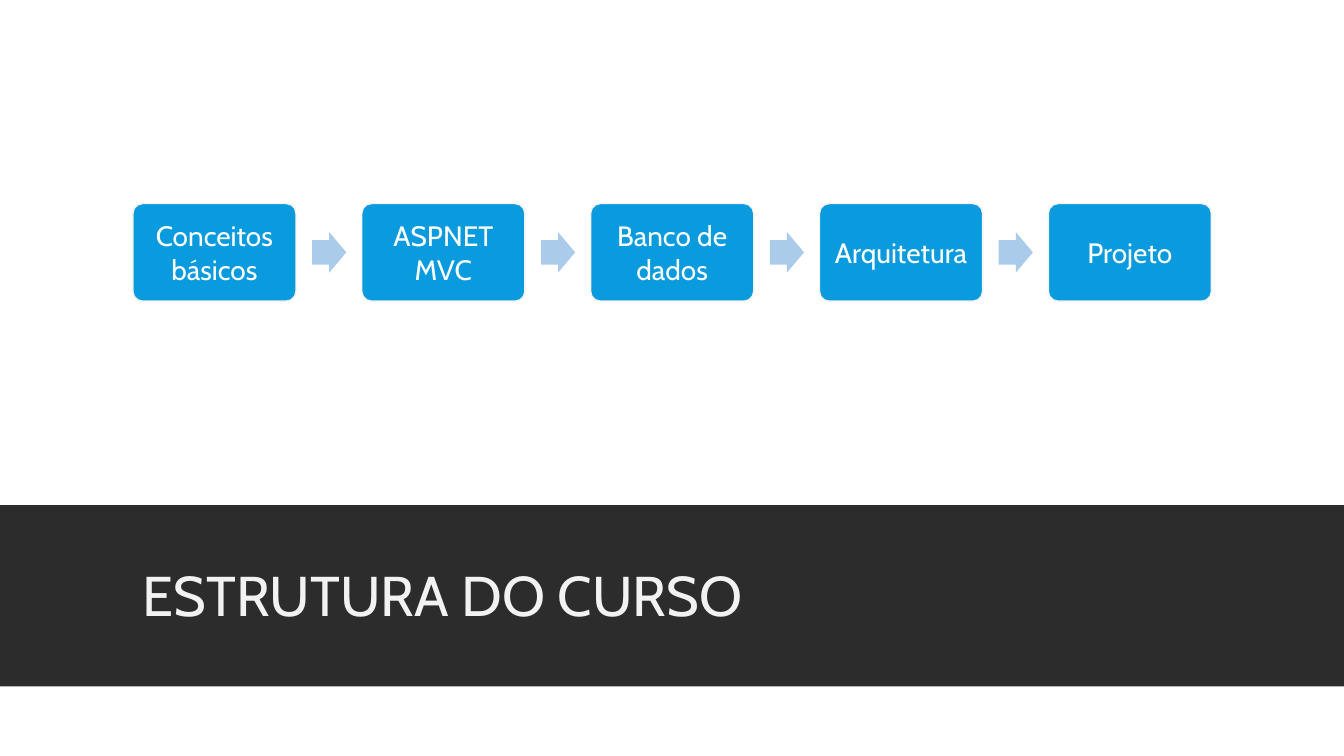
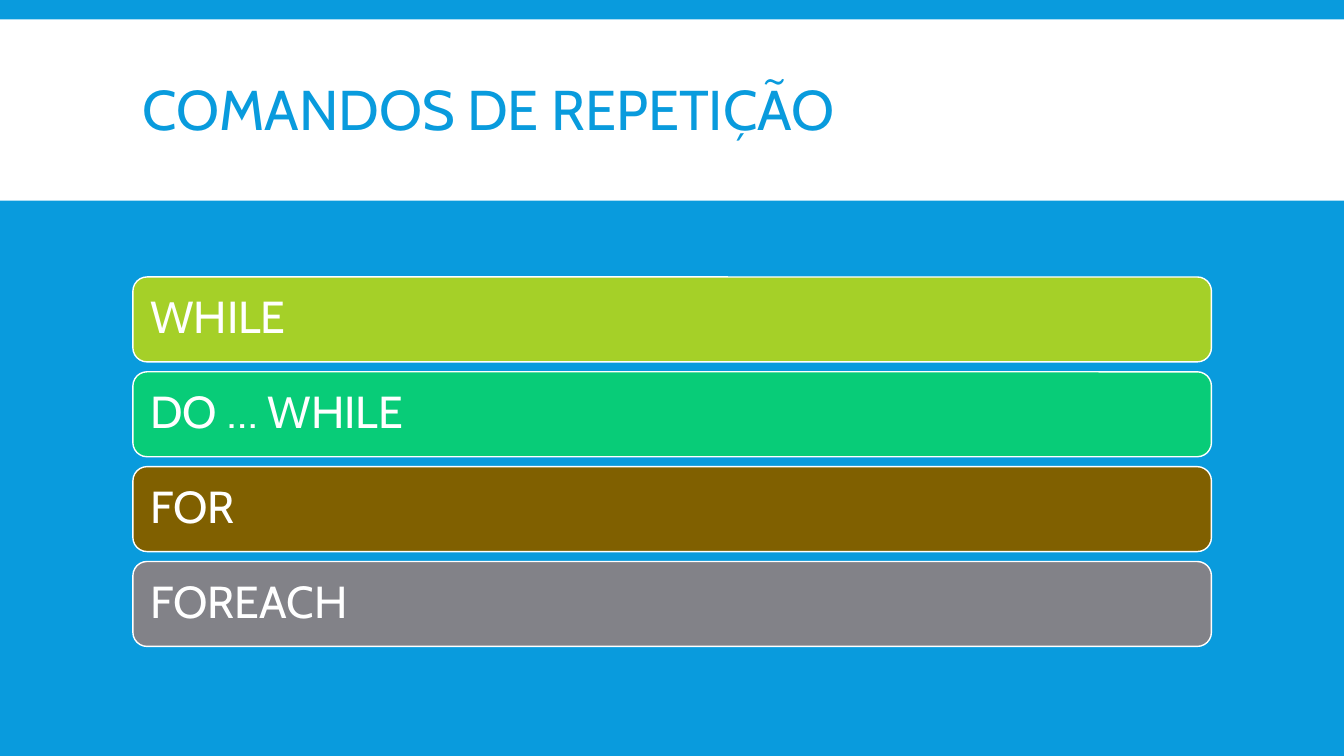
"""Build two course slides: a process flow and a list of loop commands."""
from pptx import Presentation
from pptx import util as u
from pptx.dml import color
from pptx.enum import shapes, text

WIDTH, HEIGHT = 33.87, 19.05
LEFT, CONTENT_WIDTH = 3.35, 27.18
BAND_HEIGHT = 4.57
BLUE, WHITE, LIGHT, DARK, ARROW = "099BDD", "FFFFFF", "F2F2F2", "2C2C2C", "ABCBEB"
FONT = "Cabin"
KIND = shapes.MSO_SHAPE
ALIGN = text.PP_ALIGN

TITLE_FORMAT = {"size": 40, "spacing": 0.85, "align": ALIGN.LEFT}
STEP_FORMAT = {"size": 20, "spacing": 1.0, "align": ALIGN.CENTER, "inset": 0.2}
ROW_FORMAT = {"size": 32, "spacing": 0.9, "align": ALIGN.LEFT, "inset": 0.33}

STEPS = ["Conceitos básicos", "ASPNET MVC", "Banco de dados", "Arquitetura", "Projeto"]
COMMANDS = [
    ("WHILE", "A5D028"),
    ("DO … WHILE", "08CC78"),
    ("FOR", "806000"),
    ("FOREACH", "828288"),
]


def rgb(value):
    """Return the colour for a hex string."""
    return color.RGBColor.from_string(value)


def set_values(target, values):
    """Set each named attribute of the target."""
    for name, value in values.items():
        setattr(target, name, value)


def add_slide(presentation, background):
    """Add a blank slide with a plain background."""
    slide = presentation.slides.add_slide(presentation.slide_layouts[6])
    slide.background.fill.solid()
    slide.background.fill.fore_color.rgb = rgb(background)
    return slide


def write(shape, wording, hue, size, spacing, align, inset=None):
    """Write one paragraph, centred vertically in the shape."""
    frame = shape.text_frame
    set_values(frame, {"word_wrap": True, "vertical_anchor": text.MSO_ANCHOR.MIDDLE})
    if inset is not None:
        sides = ("left", "top", "right", "bottom")
        set_values(frame, {f"margin_{side}": u.Cm(inset) for side in sides})
    paragraph = frame.paragraphs[0]
    set_values(paragraph, {"alignment": align, "line_spacing": spacing})
    run = paragraph.add_run()
    run.text = wording
    set_values(run.font, {"name": FONT, "size": u.Pt(size)})
    run.font.color.rgb = rgb(hue)


def add_block(slide, kind, box, fill, line=None, adjustments=()):
    """Add a flat filled shape with an optional outline."""
    shape = slide.shapes.add_shape(kind, *map(u.Cm, box))
    shape.shadow.inherit = False
    shape.fill.solid()
    shape.fill.fore_color.rgb = rgb(fill)
    if line:
        shape.line.color.rgb = rgb(line)
        shape.line.width = u.Pt(1)
    else:
        shape.line.fill.background()
    for index, value in enumerate(adjustments):
        shape.adjustments[index] = value
    return shape


def add_title_band(slide, top, fill, wording, hue):
    """Add the full-width band and its title."""
    add_block(slide, KIND.RECTANGLE, (0, top, WIDTH, BAND_HEIGHT), fill)
    box = (LEFT, top + 0.28, CONTENT_WIDTH, 4.19)
    title = slide.shapes.add_textbox(*map(u.Cm, box))
    write(title, wording, hue, **TITLE_FORMAT)


def add_flow(slide, steps):
    """Add evenly spaced boxes with an arrow between neighbours."""
    top, width, height = 5.13, 4.11, 2.46
    arrow_width, arrow_height = 0.86, 1.02
    pitch = (CONTENT_WIDTH - width) / (len(steps) - 1)
    arrow_top = top + (height - arrow_height) / 2
    for index, step in enumerate(steps):
        left = LEFT + index * pitch
        if index:
            arrow_box = (left - 1.25, arrow_top, arrow_width, arrow_height)
            add_block(slide, KIND.RIGHT_ARROW, arrow_box, ARROW, adjustments=(0.6, 0.5))
        box = (left, top, width, height)
        shape = add_block(slide, KIND.ROUNDED_RECTANGLE, box, BLUE, LIGHT, (0.1,))
        write(shape, step, WHITE, **STEP_FORMAT)


def add_rows(slide, rows):
    """Add a stack of full-width coloured bars."""
    top, height, pitch = 6.98, 2.14, 2.39
    for index, (wording, fill) in enumerate(rows):
        box = (LEFT, top + index * pitch, CONTENT_WIDTH, height)
        shape = add_block(slide, KIND.ROUNDED_RECTANGLE, box, fill, WHITE)
        write(shape, wording, WHITE, **ROW_FORMAT)


def main():
    """Build and save the presentation."""
    presentation = Presentation()
    set_values(presentation, {"slide_width": u.Cm(WIDTH), "slide_height": u.Cm(HEIGHT)})

    structure = add_slide(presentation, WHITE)
    add_title_band(structure, 12.73, DARK, "ESTRUTURA DO CURSO", LIGHT)
    add_flow(structure, STEPS)

    loops = add_slide(presentation, BLUE)
    add_title_band(loops, 0.49, WHITE, "COMANDOS DE REPETIÇÃO", BLUE)
    add_rows(loops, COMMANDS)

    presentation.save("out.pptx")


if __name__ == "__main__":
    main()
